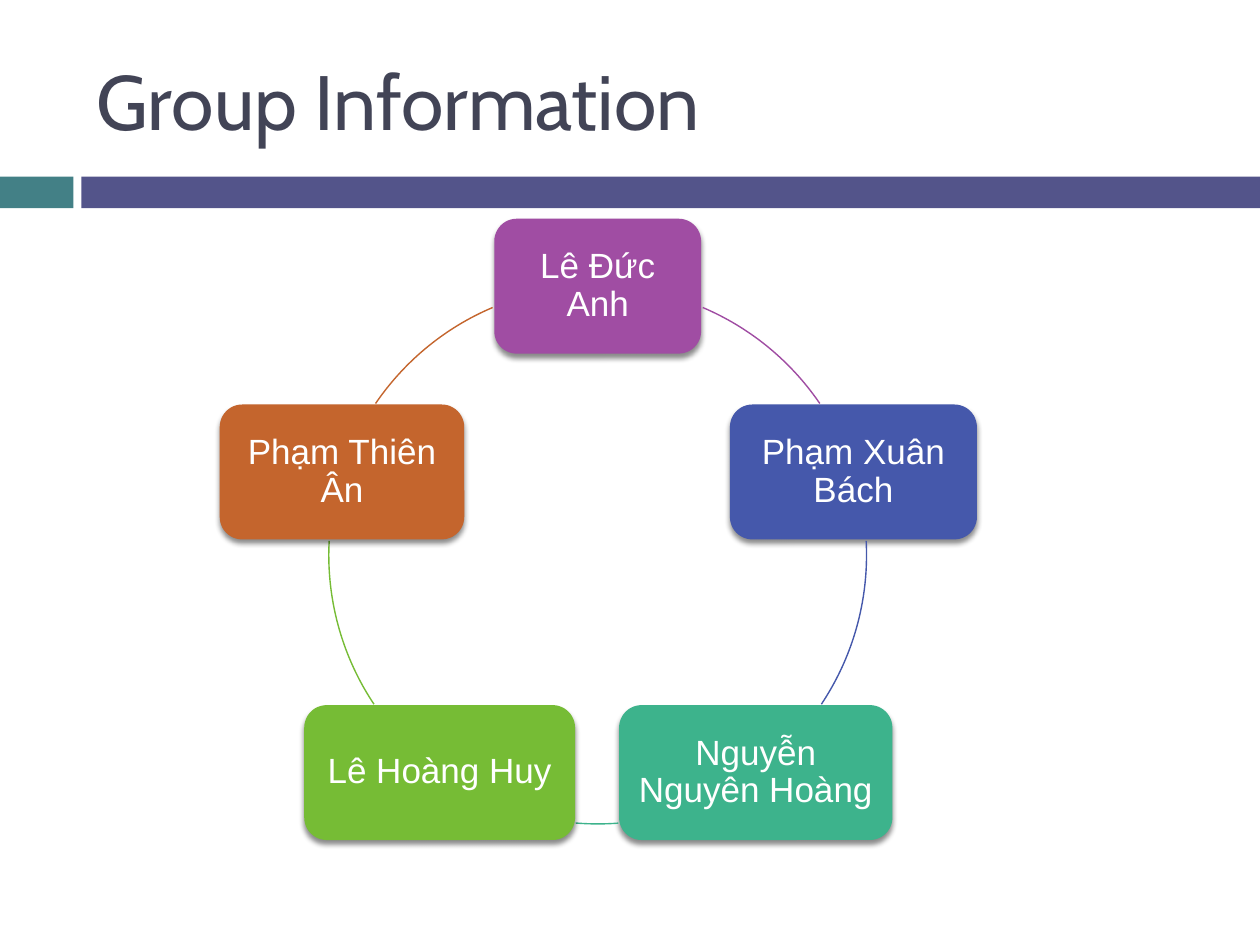
from math import cos, radians, sin

from lxml.etree import SubElement
from pptx import Presentation
from pptx.dml.color import RGBColor
from pptx.enum.shapes import MSO_SHAPE as SHAPE
from pptx.enum.text import MSO_ANCHOR as ANCHOR, PP_ALIGN as ALIGN
from pptx.oxml.ns import qn
from pptx.util import Cm, Pt

WHITE = RGBColor(0xFF, 0xFF, 0xFF)
SLATE = RGBColor(0x42, 0x44, 0x56)
TEAL = RGBColor(0x43, 0x80, 0x86)
INDIGO = RGBColor(0x53, 0x54, 0x8A)
PURPLE = RGBColor(0xA0, 0x4D, 0xA3)
BLUE = RGBColor(0x45, 0x58, 0xAB)
MINT = RGBColor(0x3D, 0xB3, 0x8C)
GREEN = RGBColor(0x76, 0xBC, 0x35)
ORANGE = RGBColor(0xC4, 0x65, 0x2D)

# Ring of members, in centimetres
CENTER_X, CENTER_Y, RADIUS = 12.05, 11.19, 5.42
CARD_HEIGHT = 2.72

# Name, colour, card width, start and end angle of the arc to the next card
MEMBERS = [
    ("Lê Đư\u0301c Anh", PURPLE, 4.17, 293, 325.7),
    ("Pha\u0323m Xuân Ba\u0301ch", BLUE, 4.98, 357, 33.7),
    ("Nguyê\u0303n Nguyên Hoa\u0300ng", MINT, 5.51, 85.6, 94.7),
    ("Lê Hoa\u0300ng Huy", GREEN, 5.46, 146.3, 183),
    ("Pha\u0323m Thiên Ân", ORANGE, 4.93, 214.3, 247),
]


def add_block(kind, left, top, width, height, color):
    """Add a filled shape without outline or shadow; lengths in cm."""
    block = slide.shapes.add_shape(kind, Cm(left), Cm(top), Cm(width), Cm(height))
    block.shadow.inherit = False
    block.fill.solid()
    block.fill.fore_color.rgb = color
    block.line.fill.background()
    return block


def format_text(frame, font_name, size, color):
    """Wrap and centre the text vertically, and set the font of its runs."""
    frame.word_wrap = True
    frame.vertical_anchor = ANCHOR.MIDDLE
    for run in frame.paragraphs[0].runs:
        run.font.name = font_name
        run.font.size = Pt(size)
        run.font.color.rgb = color


prs = Presentation()
prs.slide_width, prs.slide_height = Cm(25.4), Cm(19.05)
slide = prs.slides.add_slide(prs.slide_layouts[6])

# Header
add_block(SHAPE.RECTANGLE, 0, 3.56, 1.48, 0.64, TEAL)
add_block(SHAPE.RECTANGLE, 1.64, 3.56, 23.76, 0.64, INDIGO)
title = slide.shapes.add_textbox(Cm(1.7), Cm(0.64), Cm(22.66), Cm(2.74))
title.text_frame.text = "Group Information"
format_text(title.text_frame, "Cabin", 44, SLATE)

# Cards sit at equal angles, clockwise from the top
for index, (name, color, width, start, end) in enumerate(MEMBERS):
    angle = radians(-90 + index * 360 / len(MEMBERS))
    card = add_block(
        SHAPE.ROUNDED_RECTANGLE,
        CENTER_X + RADIUS * cos(angle) - width / 2,
        CENTER_Y + RADIUS * sin(angle) - CARD_HEIGHT / 2,
        width, CARD_HEIGHT, color)
    effects = card._element.spPr.find(qn("a:effectLst"))
    shadow = SubElement(effects, qn("a:outerShdw"), blurRad=str(Pt(3)),
                        dist=str(Pt(2.4)), dir="5400000", rotWithShape="0")
    shade = SubElement(shadow, qn("a:srgbClr"), val="000000")
    SubElement(shade, qn("a:alpha"), val="45000")

    frame = card.text_frame
    frame.text = name
    frame.margin_left = frame.margin_right = Cm(0.2)
    frame.margin_top = frame.margin_bottom = Cm(0.2)
    frame.paragraphs[0].alignment = ALIGN.CENTER
    frame.paragraphs[0].line_spacing = 0.9
    format_text(frame, "Arial", 20, WHITE)

    arc = slide.shapes.add_shape(
        SHAPE.ARC, Cm(CENTER_X - RADIUS), Cm(CENTER_Y - RADIUS),
        Cm(2 * RADIUS), Cm(2 * RADIUS))
    arc.shadow.inherit = False
    arc.fill.background()
    arc.line.color.rgb = color
    arc.line.width = Pt(0.79)
    # Adjustments count 60000 units a degree, scaled by 100000
    arc.adjustments[0] = start * 0.6
    arc.adjustments[1] = end * 0.6

prs.save("out.pptx")
